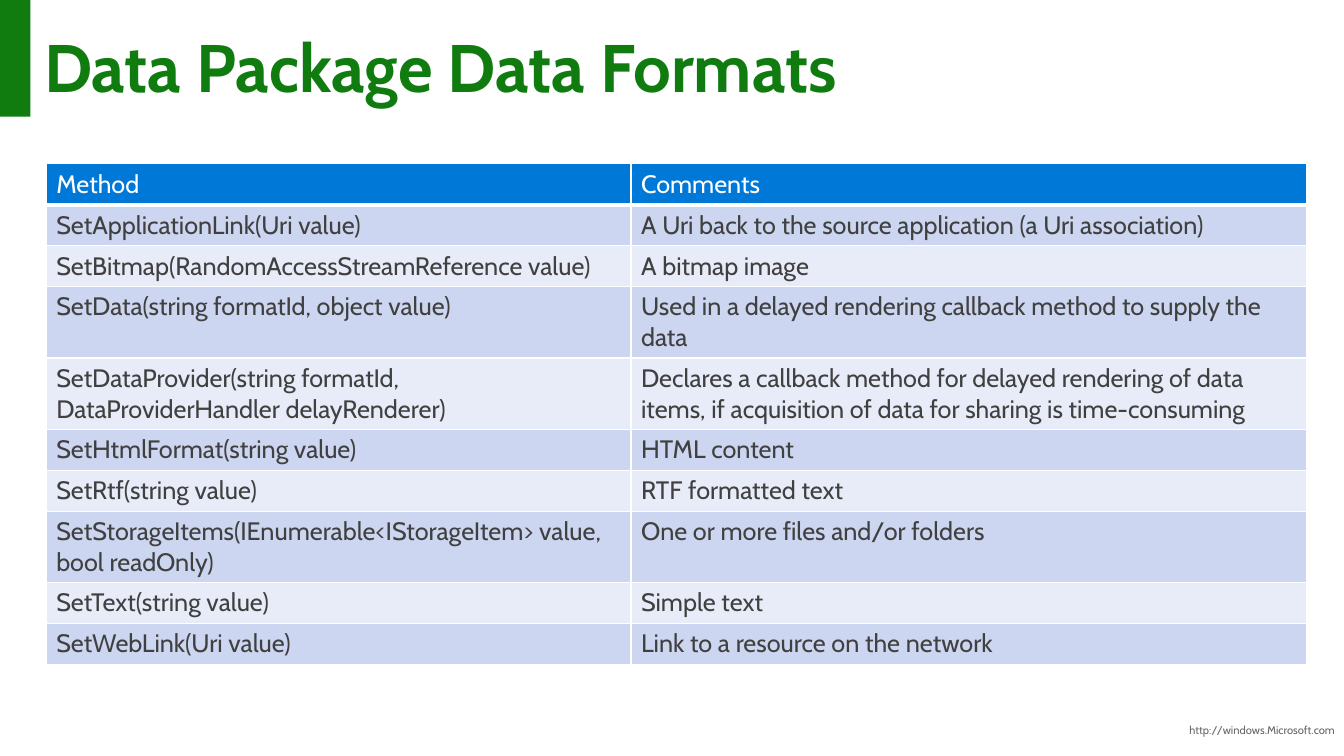
"""Build the slide listing the data formats of a data package."""
from dataclasses import dataclass

from lxml import etree
from pptx import Presentation
from pptx.dml.color import RGBColor
from pptx.enum.shapes import MSO_SHAPE
from pptx.enum.text import MSO_ANCHOR, MSO_AUTO_SIZE, PP_ALIGN
from pptx.oxml.ns import qn
from pptx.slide import Slide
from pptx.table import _Cell
from pptx.text.text import _Paragraph
from pptx.util import Emu, Pt

RECT = MSO_SHAPE.RECTANGLE
TOP = MSO_ANCHOR.TOP
LEFT, RIGHT = PP_ALIGN.LEFT, PP_ALIGN.RIGHT
NO_FIT = MSO_AUTO_SIZE.NONE
TITLE_ONLY = 5


def px(n: int) -> Emu:
    """Turn pixels into EMU."""
    return Emu(n * 9525)


@dataclass(frozen=True)
class Theme:
    """Colours, font and type sizes."""
    font: str = "Cabin"
    green: str = "107C10"
    header: str = "0078D7"
    bands: tuple[str, str] = ("CCD6F0", "E7ECF8")
    white: str = "FFFFFF"
    text: str = "404040"
    grey: str = "666666"
    title_pt: int = 48
    table_pt: int = 18
    footer_pt: int = 8


@dataclass(frozen=True)
class Box:
    """A frame in pixels."""
    x: int
    y: int
    w: int
    h: int

    def emu(self) -> tuple[Emu, Emu, Emu, Emu]:
        """Give the frame in EMU."""
        return px(self.x), px(self.y), px(self.w), px(self.h)


@dataclass(frozen=True)
class Format:
    """A method of the data package and the number of lines it takes."""
    method: str
    comment: str
    lines: int = 1


THEME = Theme()
BAR = Box(0, 0, 29, 111)
TITLE = Box(28, 21, 1223, 103)
FOOTER = Box(1106, 684, 175, 32)
TABLE = Box(44, 156, 1200, 475)
COLUMNS = (557, 643)
ROW_HEIGHTS = {1: 39, 2: 68}
FORMATS = (
    Format("Method", "Comments"),
    Format("SetApplicationLink(Uri value)",
           "A Uri back to the source application (a Uri association)"),
    Format("SetBitmap(RandomAccessStreamReference value)", "A bitmap image"),
    Format("SetData(string formatId, object value)",
           "Used in a delayed rendering callback method to supply the data", 2),
    Format("SetDataProvider(string formatId, DataProviderHandler delayRenderer)",
           "Declares a callback method for delayed rendering of data items, "
           "if acquisition of data for sharing is time-consuming", 2),
    Format("SetHtmlFormat(string value)", "HTML content"),
    Format("SetRtf(string value)", "RTF formatted text"),
    Format("SetStorageItems(IEnumerable<IStorageItem> value, bool readOnly)",
           "One or more files and/or folders", 2),
    Format("SetText(string value)", "Simple text"),
    Format("SetWebLink(Uri value)", "Link to a resource on the network"),
)


def write(p: _Paragraph, text: str, size: int, color: str,
          align: PP_ALIGN = LEFT, bold: bool = False) -> None:
    """Fill a paragraph with text in one style."""
    p.text = text
    p.alignment = align
    p.font.name = THEME.font
    p.font.size = Pt(size)
    p.font.bold = bold
    p.font.color.rgb = RGBColor.from_string(color)


def add_bar(s: Slide) -> None:
    """Draw the green bar in the corner."""
    sp = s.shapes.add_shape(RECT, *BAR.emu())
    sp.shadow.inherit = False
    sp.fill.solid()
    sp.fill.fore_color.rgb = RGBColor.from_string(THEME.green)
    sp.line.fill.background()


def add_title(s: Slide, text: str) -> None:
    """Place and format the title placeholder."""
    sp = s.shapes.title
    sp.left, sp.top, sp.width, sp.height = TITLE.emu()
    tf = sp.text_frame
    tf.word_wrap = True
    tf.auto_size = NO_FIT
    tf.vertical_anchor = TOP
    tf.margin_left = tf.margin_right = px(14)
    tf.margin_top = tf.margin_bottom = px(12)
    p = tf.paragraphs[0]
    write(p, text, THEME.title_pt, THEME.green, bold=True)
    p.line_spacing = 0.9


def add_footer(s: Slide, text: str) -> None:
    """Write the web address at the lower right."""
    tf = s.shapes.add_textbox(*FOOTER.emu()).text_frame
    tf.word_wrap = True
    write(tf.paragraphs[0], text, THEME.footer_pt, THEME.grey, RIGHT)


def set_borders(cell: _Cell, bottom: int) -> None:
    """Give a cell white borders, with its own bottom width in points."""
    tc_pr = cell._tc.get_or_add_tcPr()
    for side, width in (("L", 1), ("R", 1), ("T", 1), ("B", bottom)):
        ln = etree.SubElement(tc_pr, qn(f"a:ln{side}"), w=str(Pt(width)))
        fill = etree.SubElement(ln, qn("a:solidFill"))
        etree.SubElement(fill, qn("a:srgbClr"), val=THEME.white)


def add_formats(s: Slide) -> None:
    """Draw the table of methods and comments."""
    table = s.shapes.add_table(len(FORMATS), len(COLUMNS), *TABLE.emu()).table
    for column, width in zip(table.columns, COLUMNS):
        column.width = px(width)
    for i, fmt in enumerate(FORMATS):
        table.rows[i].height = px(ROW_HEIGHTS[fmt.lines])
        header = i == 0
        fill = THEME.header if header else THEME.bands[(i - 1) % 2]
        color = THEME.white if header else THEME.text
        for j, text in enumerate((fmt.method, fmt.comment)):
            cell = table.cell(i, j)
            set_borders(cell, 3 if header else 1)
            cell.fill.solid()
            cell.fill.fore_color.rgb = RGBColor.from_string(fill)
            write(cell.text_frame.paragraphs[0], text, THEME.table_pt, color)


def main() -> None:
    """Build and save the slide."""
    prs = Presentation()
    prs.slide_width, prs.slide_height = px(1280), px(720)
    s = prs.slides.add_slide(prs.slide_layouts[TITLE_ONLY])
    add_footer(s, "http://windows.Microsoft.com")
    add_bar(s)
    add_title(s, "Data Package Data Formats")
    add_formats(s)
    prs.save("out.pptx")


if __name__ == "__main__":
    main()
